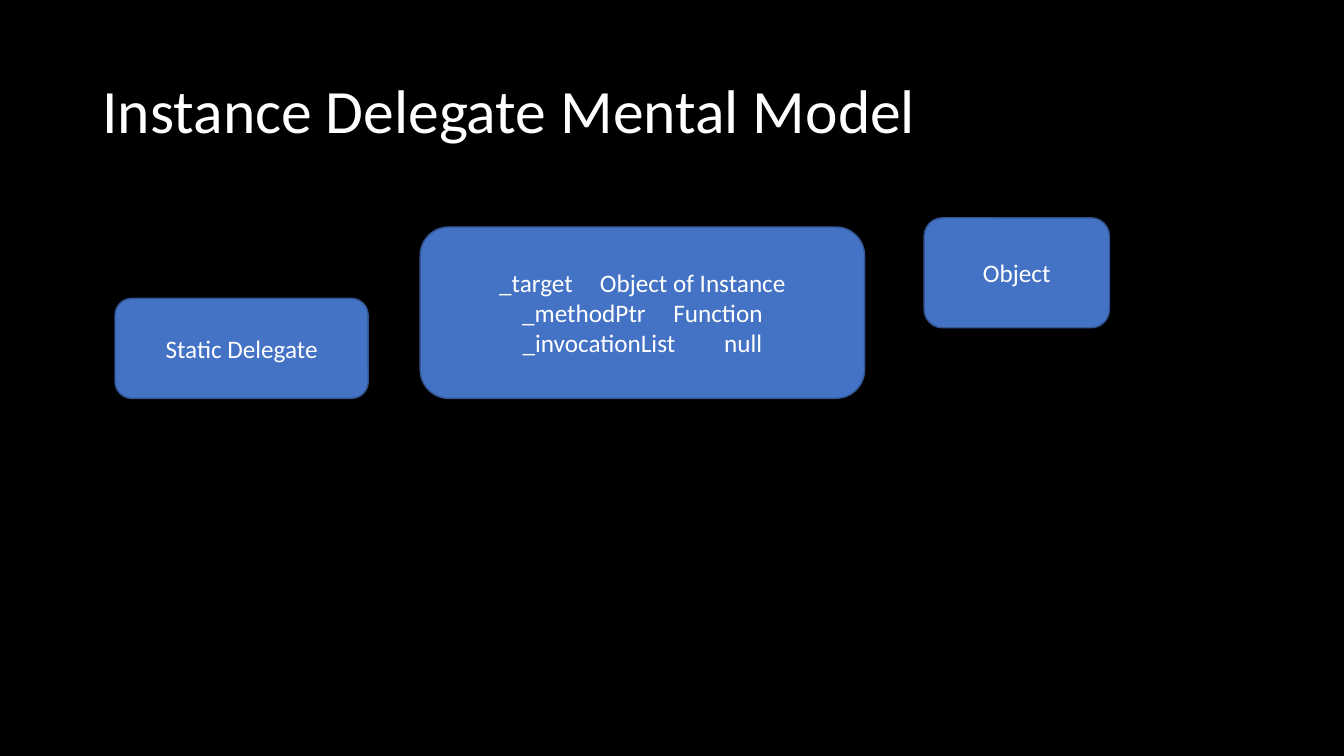
from pptx import Presentation
from pptx.dml.color import RGBColor
from pptx.enum.shapes import MSO_SHAPE as Shape
from pptx.enum.text import MSO_ANCHOR as Anchor, MSO_AUTO_SIZE as AutoSize, PP_ALIGN as Align
from pptx.util import Cm, Pt

BLACK = RGBColor(0x00, 0x00, 0x00)
WHITE = RGBColor(0xFF, 0xFF, 0xFF)
BLUE = RGBColor(0x44, 0x72, 0xC4)
DARK_BLUE = RGBColor(0x32, 0x54, 0x91)


class DelegateSlide:
    font = "Calibri"
    title_size = Pt(44)
    box_size = Pt(18)

    def __init__(self, deck):
        self.slide = deck.slides.add_slide(deck.slide_layouts[5])
        background = self.slide.background.fill
        background.solid()
        background.fore_color.rgb = BLACK

    def set_text(self, frame, text, size, align):
        frame.text = text
        frame.word_wrap = True
        frame.auto_size = AutoSize.NONE
        frame.vertical_anchor = Anchor.MIDDLE
        for paragraph in frame.paragraphs:
            paragraph.alignment = align
            for run in paragraph.runs:
                run.font.name = self.font
                run.font.size = size
                run.font.color.rgb = WHITE

    def title(self, text, left, top, width, height):
        heading = self.slide.shapes.title
        heading.left, heading.top = Cm(left), Cm(top)
        heading.width, heading.height = Cm(width), Cm(height)
        self.set_text(heading.text_frame, text, self.title_size, Align.LEFT)
        heading.text_frame.paragraphs[0].line_spacing = 0.9

    def box(self, text, left, top, width, height):
        node = self.slide.shapes.add_shape(
            Shape.ROUNDED_RECTANGLE, Cm(left), Cm(top), Cm(width), Cm(height))
        node.shadow.inherit = False
        node.fill.solid()
        node.fill.fore_color.rgb = BLUE
        node.line.color.rgb = DARK_BLUE
        node.line.width = Pt(1)
        self.set_text(node.text_frame, text, self.box_size, Align.CENTER)


deck = Presentation()
deck.slide_width, deck.slide_height = Cm(33.87), Cm(19.05)

model = DelegateSlide(deck)
model.title("Instance Delegate Mental Model", 2.33, 1.01, 29.21, 3.68)

delegate_fields = [
    ("_target", "Object of Instance"),
    ("_methodPtr", "Function"),
    ("_invocationList", "null"),
]
model.box("Static Delegate", 2.9, 7.52, 6.38, 2.52)
model.box("\n".join("\t".join(field) for field in delegate_fields), 10.59, 5.72, 11.2, 4.32)
model.box("Object", 23.29, 5.49, 4.67, 2.77)

deck.save("out.pptx")
